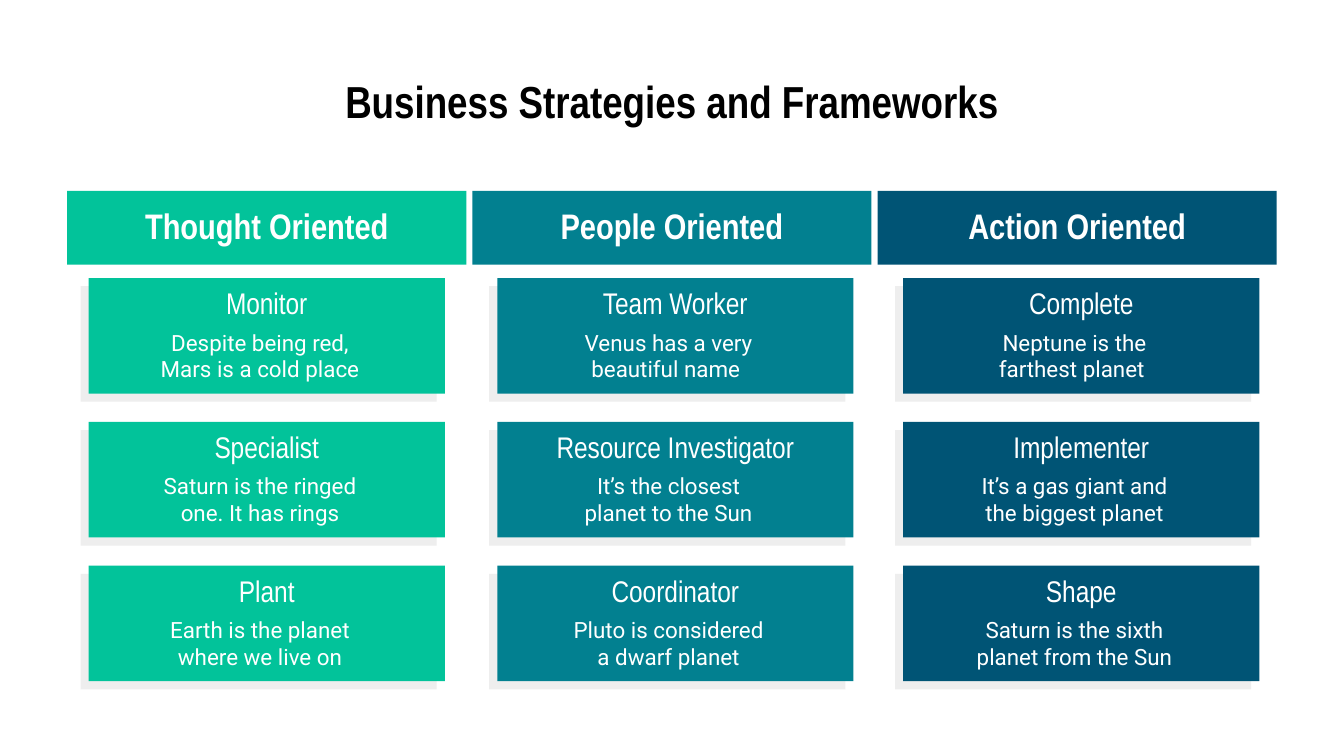
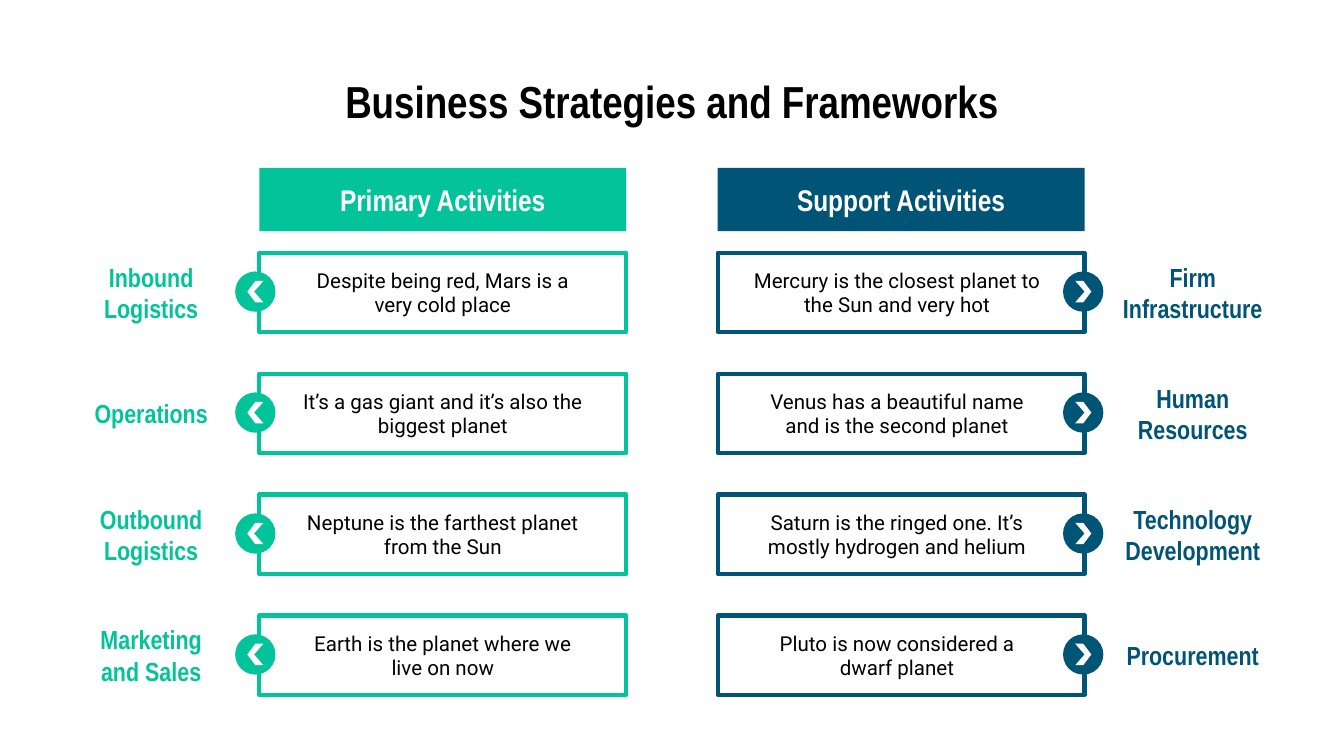
"""Build two slides on business strategies and frameworks."""
from dataclasses import dataclass

from pptx import Presentation
from pptx import util as u
from pptx.dml.color import RGBColor
from pptx.enum import shapes, text


@dataclass(frozen=True)
class Theme:
    """Colours, fonts and type sizes of the deck."""
    green: str = "02C39A"
    teal: str = "028090"
    navy: str = "005475"
    shade: str = "EEEEEE"
    white: str = "FFFFFF"
    black: str = "000000"
    head: str = "Arial Narrow"
    body: str = "Roboto"
    title: int = 24
    band: int = 19
    name: int = 16
    label: int = 14
    note: int = 12
    small: int = 11
    line: float = 2.25


T = Theme()
TOP, MIDDLE = text.MSO_ANCHOR.TOP, text.MSO_ANCHOR.MIDDLE
TITLE = "Business Strategies and Frameworks"

ROLES = [
    ("Thought Oriented", 0.66, T.green, [
        ("Monitor", "Despite being red, Mars is a cold place"),
        ("Specialist", "Saturn is the ringed one. It has rings"),
        ("Plant", "Earth is the planet where we live on")]),
    ("People Oriented", 3.7, T.teal, [
        ("Team Worker", "Venus has a very beautiful name "),
        ("Resource Investigator", "It’s the closest planet to the Sun"),
        ("Coordinator", "Pluto is considered a dwarf planet")]),
    ("Action Oriented", 6.72, T.navy, [
        ("Complete", "Neptune is the farthest planet "),
        ("Implementer", "It’s a gas giant and the biggest planet"),
        ("Shape", "Saturn is the sixth planet from the Sun")]),
]

PRIMARY = [
    ("Inbound Logistics", "Despite being red, Mars is a very cold place"),
    ("Operations", "It’s a gas giant and it’s also the biggest planet"),
    ("Outbound Logistics", "Neptune is the farthest planet from the Sun"),
    ("Marketing and Sales", "Earth is the planet where we live on now"),
]

SUPPORT = [
    ("Firm Infrastructure",
     "Mercury is the closest planet to the Sun and very hot"),
    ("Human Resources", "Venus has a beautiful name and is the second planet"),
    ("Technology Development",
     "Saturn is the ringed one. It’s mostly hydrogen and helium"),
    ("Procurement", "Pluto is now considered a dwarf planet"),
]


def paint(shape, fill=None, line=None):
    """Set the fill and line of a shape and drop its shadow."""
    shape.shadow.inherit = False
    if fill:
        shape.fill.solid()
        shape.fill.fore_color.rgb = RGBColor.from_string(fill)
    else:
        shape.fill.background()
    if line:
        shape.line.color.rgb = RGBColor.from_string(line)
        shape.line.width = u.Pt(T.line)
    else:
        shape.line.fill.background()


def write(shape, words, size, color, face=T.head, bold=False, anchor=MIDDLE):
    """Put one centred paragraph in a shape."""
    frame = shape.text_frame
    frame.word_wrap = True
    frame.vertical_anchor = anchor
    frame.margin_left = frame.margin_right = u.Inches(0.1)
    frame.margin_top = frame.margin_bottom = u.Inches(0.1)
    para = frame.paragraphs[0]
    para.text = words
    para.alignment = text.PP_ALIGN.CENTER
    para.font.name = face
    para.font.size = u.Pt(size)
    para.font.bold = bold
    para.font.color.rgb = RGBColor.from_string(color)


def block(host, box, fill=None, line=None, kind=shapes.MSO_SHAPE.RECTANGLE):
    """Add a preset shape."""
    shape = host.add_shape(kind, *map(u.Inches, box))
    paint(shape, fill, line)
    return shape


def label(host, box, words, size, color, **style):
    """Add a text box."""
    write(host.add_textbox(*map(u.Inches, box)), words, size, color, **style)


def band(host, box, words, size, fill, anchor=MIDDLE):
    """Add a filled heading band."""
    write(block(host, box, fill), words, size, T.white, bold=True,
          anchor=anchor)


def card(host, x, y, color, name, note):
    """Add a role card with its offset shade."""
    wide, high = 2.65, 0.86
    block(host, (x - 0.06, y + 0.06, wide, high), T.shade)
    block(host, (x, y, wide, high), color)
    label(host, (x, y, wide, 0.37), name, T.name, T.white)
    label(host, (x + 0.42, y + 0.33, 1.71, 0.49), note, T.note, T.white,
          face=T.body)


def arrow(host, x, y, way, color):
    """Add a round badge whose chevron points right (1) or left (-1)."""
    block(host, (x - 0.15, y - 0.15, 0.3, 0.3), color,
          kind=shapes.MSO_SHAPE.OVAL)
    tips = [(-0.06, -0.08), (0.01, 0), (-0.06, 0.08),
            (0, 0.08), (0.06, 0), (0, -0.08)]
    points = [(u.Inches(x + way * dx), u.Inches(y + dy)) for dx, dy in tips]
    pen = host.build_freeform(*points[0])
    pen.add_line_segments(points[1:], close=True)
    paint(pen.convert_to_shape(), T.white)


def chain(host, x, y, way, color, name, note):
    """Add an outlined note with its badge and outer label."""
    wide, high = 2.73, 0.59
    block(host, (x, y, wide, high), line=color)
    hub, inset, side = (8.06, 0.16, 8.25) if way > 0 else (1.9, 0.19, 0.5)
    arrow(host, hub, y + 0.29, way, color)
    label(host, (x + inset, y + 0.06, 2.35, 0.47), note, T.small, T.black,
          face=T.body)
    label(host, (side, y, 1.25, high), name, T.label, color, bold=True)


def start(deck):
    """Add a blank slide with the shared title."""
    host = deck.slides.add_slide(deck.slide_layouts[6]).shapes
    label(host, (0.5, 0.45, 9, 0.63), TITLE, T.title, T.black, bold=True,
          anchor=TOP)
    return host


def roles(deck):
    """Build the slide of team roles."""
    host = start(deck)
    wide = 2.97
    step = (9 - wide) / 2
    for col, (head, x, color, cards) in enumerate(ROLES):
        band(host, (0.5 + step * col, 1.42, wide, 0.55), head, T.band, color,
             anchor=TOP)
        for row, (name, note) in enumerate(cards):
            group = host.add_group_shape().shapes
            card(group, x, 2.07 + 1.07 * row, color, name, note)


def value(deck):
    """Build the slide of primary and support tasks."""
    host = start(deck)
    sides = [("Primary Activities", 1.93, -1, T.green, PRIMARY),
             ("Support Activities", 5.34, 1, T.navy, SUPPORT)]
    for head, x, way, color, items in sides:
        band(host, (x, 1.25, 2.73, 0.47), head, T.name, color)
        for row, (name, note) in enumerate(items):
            group = host.add_group_shape().shapes
            chain(group, x, 1.88 + 0.9 * row, way, color, name, note)


def main():
    """Build and save the deck."""
    deck = Presentation()
    deck.slide_width = u.Inches(10)
    deck.slide_height = u.Inches(10 * 9 / 16)
    roles(deck)
    value(deck)
    deck.save("out.pptx")


if __name__ == "__main__":
    main()
